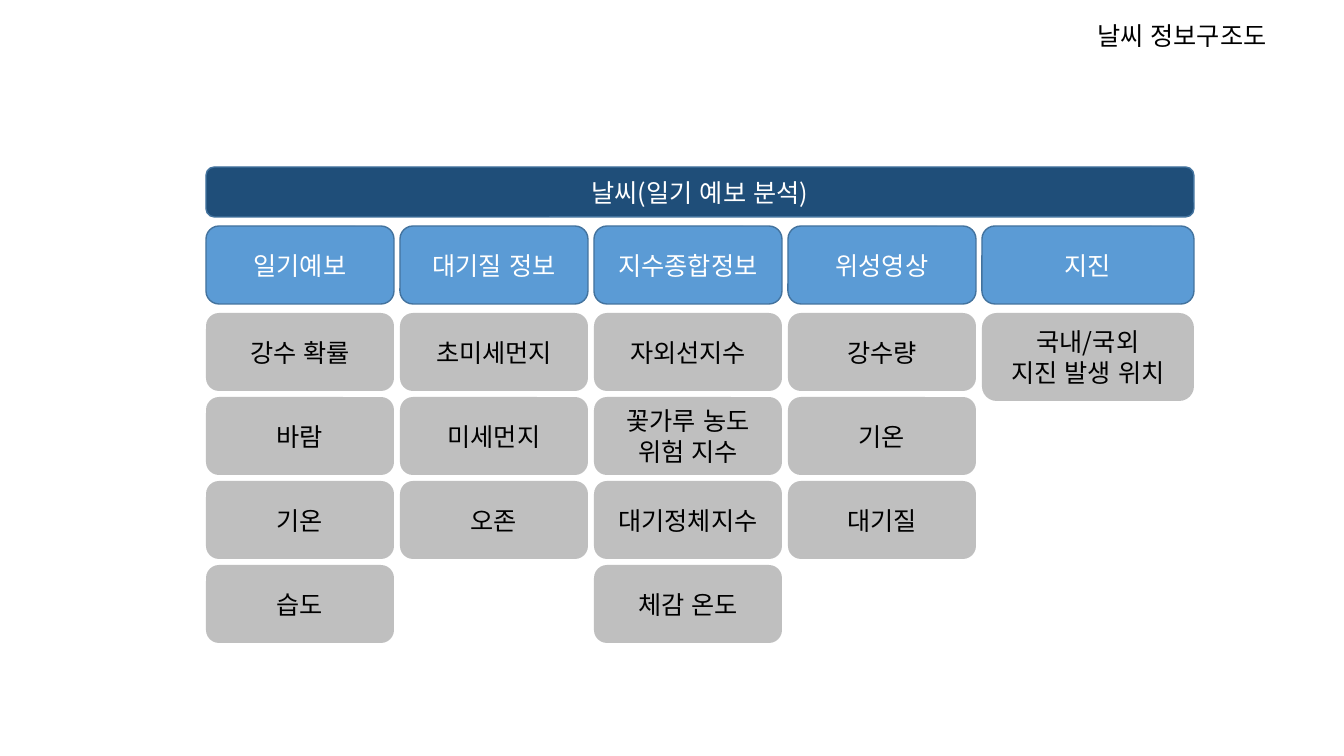
from pptx import Presentation
from pptx.dml.color import RGBColor
from pptx.enum.lang import MSO_LANGUAGE_ID
from pptx.enum.shapes import MSO_SHAPE
from pptx.enum.text import MSO_ANCHOR, MSO_AUTO_SIZE, PP_ALIGN
from pptx.oxml import parse_xml
from pptx.oxml.ns import nsdecls
from pptx.util import Emu, Pt

PX = 914400 / 100.8
COLORS = {
    "navy": "1F4E79",
    "blue": "5B9BD5",
    "outline": "43739E",
    "gray": "BFBFBF",
    "white": "FFFFFF",
    "black": "000000",
}
FONT = "Noto Sans CJK KR"

LEFT, COL_STEP, COL_WIDTH, LAST_WIDTH = 206, 194, 188, 212
HEAD_TOP, ITEM_TOP, ROW_STEP = 226, 313, 84
BOX_HEIGHT, TALL_HEIGHT = 78, 88

SECTIONS = [
    ("일기예보", ["강수 확률", "바람", "기온", "습도"]),
    ("대기질 정보", ["초미세먼지", "미세먼지", "오존"]),
    ("지수종합정보", ["자외선지수", "꽃가루 농도\n위험 지수", "대기정체지수", "체감 온도"]),
    ("위성영상", ["강수량", "기온", "대기질"]),
    ("지진", ["국내/국외\n지진 발생 위치"]),
]


def px(n):
    return Emu(round(n * PX))


def rgb(name):
    return RGBColor.from_string(COLORS[name])


def write(tf, text, color="black", size=18, align=PP_ALIGN.CENTER, anchor=MSO_ANCHOR.MIDDLE, wrap=True):
    tf.word_wrap = wrap
    tf.vertical_anchor = anchor
    for i, line in enumerate(text.split("\n")):
        p = tf.add_paragraph() if i else tf.paragraphs[0]
        p.alignment = align
        r = p.add_run()
        r.text = line
        r.font.size = Pt(size)
        r.font.name = FONT
        r.font.language_id = MSO_LANGUAGE_ID.KOREAN
        r.font.color.rgb = rgb(color)
        latin = r.font._element.find("{*}latin")
        latin.addnext(parse_xml(f'<a:ea {nsdecls("a")} typeface="{FONT}"/>'))


class Board:
    def __init__(self, slide):
        self.s = slide

    def title(self, text, x, y, w, h):
        sp = self.s.shapes.title
        sp.left, sp.top, sp.width, sp.height = map(px, (x, y, w, h))
        write(sp.text_frame, text, align=PP_ALIGN.LEFT, anchor=MSO_ANCHOR.TOP, wrap=False)
        sp.text_frame.auto_size = MSO_AUTO_SIZE.SHAPE_TO_FIT_TEXT

    def box(self, text, x, y, w, h, fill="gray", line=None, color="black"):
        sp = self.s.shapes.add_shape(MSO_SHAPE.ROUNDED_RECTANGLE, *map(px, (x, y, w, h)))
        sp.shadow.inherit = False
        sp.fill.solid()
        sp.fill.fore_color.rgb = rgb(fill)
        if line:
            sp.line.color.rgb = rgb(line)
            sp.line.width = Pt(1)
        else:
            sp.line.fill.background()
        write(sp.text_frame, text, color=color)

    def header(self, text, x, y, w, h, fill):
        self.box(text, x, y, w, h, fill=fill, line="outline", color="white")


def main():
    prs = Presentation()
    prs.slide_width, prs.slide_height = px(1344), px(756)
    board = Board(prs.slides.add_slide(prs.slide_layouts[5]))

    board.title("날씨 정보구조도", 1087, 15, 207, 40)
    last = len(SECTIONS) - 1
    board.header("날씨(일기 예보 분석)", LEFT, 167, last * COL_STEP + LAST_WIDTH, 50, "navy")
    for col, (name, items) in enumerate(SECTIONS):
        x = LEFT + col * COL_STEP
        w, h = (LAST_WIDTH, TALL_HEIGHT) if col == last else (COL_WIDTH, BOX_HEIGHT)
        board.header(name, x, HEAD_TOP, w, BOX_HEIGHT, "blue")
        for row, item in enumerate(items):
            board.box(item, x, ITEM_TOP + row * ROW_STEP, w, h)

    prs.save("out.pptx")


if __name__ == "__main__":
    main()
